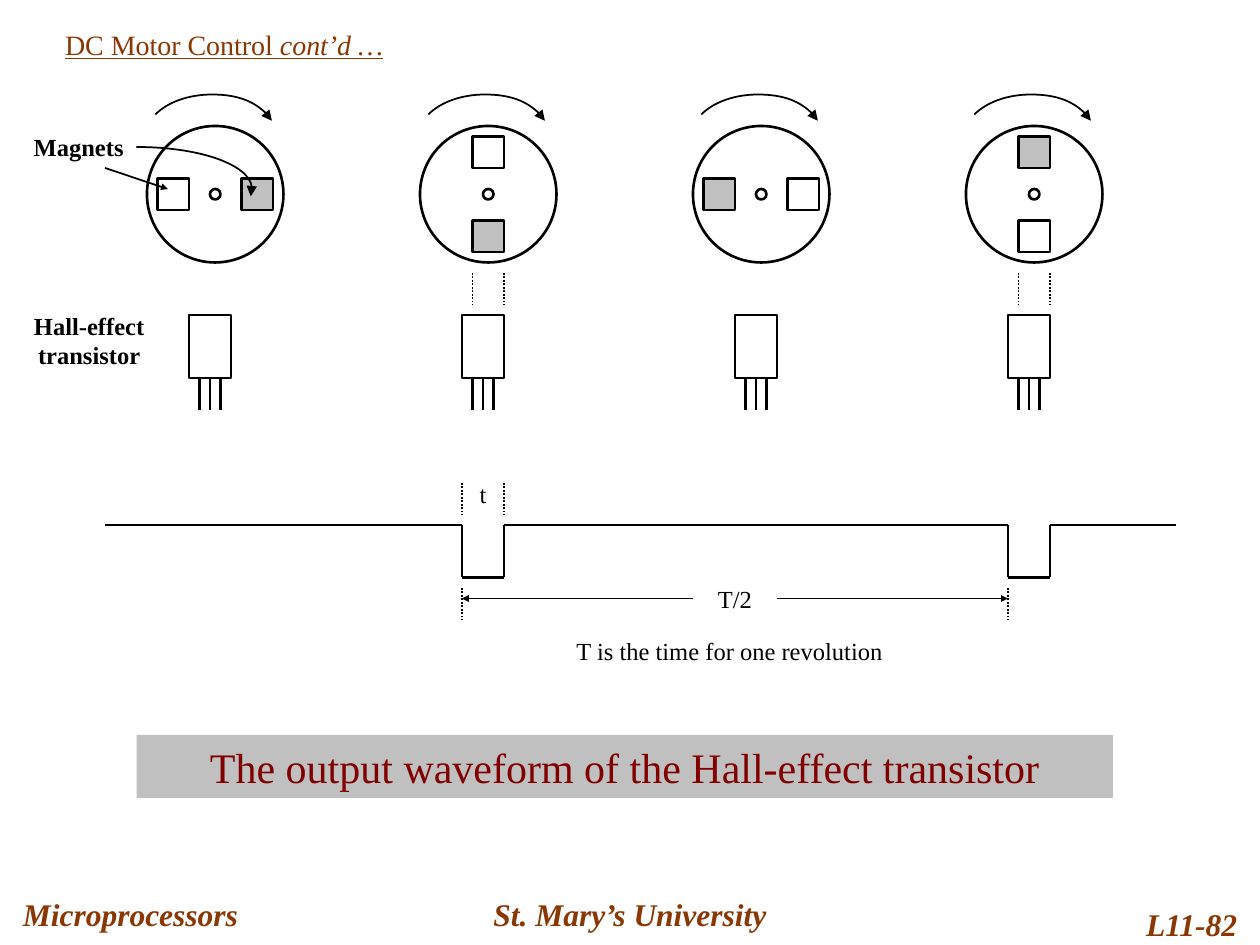
from dataclasses import dataclass
from itertools import pairwise

from lxml.etree import SubElement
from pptx import Presentation
from pptx.dml.color import RGBColor
from pptx.enum.dml import MSO_LINE
from pptx.enum.shapes import MSO_CONNECTOR, MSO_SHAPE
from pptx.enum.text import MSO_ANCHOR as Anchor, MSO_AUTO_SIZE as AutoSize, PP_ALIGN as Align
from pptx.oxml.ns import qn
from pptx.util import Pt

PX = 7620
BLACK, GREY, BROWN, MAROON = "000000", "C0C0C0", "8A3704", "800000"
FONT = "Times New Roman"
WHEEL_Y, WHEEL_STEP = 185, 260
HIGH, LOW = 500, 550
TURN_CURVE = [(54, 115), (45, 100), (22, 90), (-3, 90), (-25, 90), (-45, 97), (-57, 109)]
MAGNET_CURVE = [(130, 140), (191, 140), (240, 158), (240, 180), (240, 182), (240, 185), (239, 187)]


@dataclass(frozen=True)
class Stage:
    """One quarter turn: wheel centre and the direction of the grey magnet."""
    x: int
    dx: int
    dy: int

    @property
    def sensed(self) -> bool:
        return self.dy != 0


@dataclass(frozen=True)
class Label:
    """A text box with its place and format."""
    text: str
    place: tuple[int, int, int, int]
    size: int = 14
    color: str = BLACK
    bold: bool = False
    italic: bool = False
    align: Align = Align.CENTER
    anchor: Anchor = Anchor.TOP


STAGES = [Stage(205 + WHEEL_STEP * i, dx, dy)
          for i, (dx, dy) in enumerate([(1, 0), (0, 1), (-1, 0), (0, -1)])]
FOOTER = dict(size=18, color=BROWN, bold=True, italic=True, anchor=Anchor.MIDDLE)
LABELS = [
    Label("Microprocessors", (10, 840, 290, 60), align=Align.LEFT, **FOOTER),
    Label("St. Mary’s University", (410, 840, 380, 60), **FOOTER),
    Label("L11-82", (1040, 850, 150, 60), align=Align.RIGHT, **FOOTER),
    Label("Magnets", (20, 120, 110, 41), bold=True),
    Label("Hall-effect transistor", (20, 290, 130, 68), bold=True),
    Label("t", (440, 450, 40, 41)),
    Label("T/2", (670, 550, 60, 41)),
    Label("T is the time for one revolution", (500, 600, 390, 41)),
]


def rgb(color: str) -> RGBColor:
    """Turn a hex string into a colour."""
    return RGBColor.from_string(color)


def scaled(*lengths: float) -> list[int]:
    """Turn px lengths into EMU."""
    return [round(length * PX) for length in lengths]


def write(para, text: str, *, size=14, color=BLACK, bold=False, italic=False, underline=False):
    """Add a formatted span to a paragraph."""
    span = para.add_run()
    span.text = text
    font = span.font
    font.name, font.size, font.color.rgb = FONT, Pt(size), rgb(color)
    font.bold, font.italic, font.underline = bold, italic, underline


def set_frame(box, align=Align.CENTER, anchor=Anchor.TOP):
    """Prepare a text frame and return its first paragraph."""
    frame = box.text_frame
    frame.word_wrap, frame.vertical_anchor = True, anchor
    frame.auto_size = AutoSize.NONE if anchor == Anchor.MIDDLE else AutoSize.SHAPE_TO_FIT_TEXT
    para = frame.paragraphs[0]
    para.alignment = align
    return para


def add_label(page, label: Label):
    """Add one text box."""
    box = page.shapes.add_textbox(*scaled(*label.place))
    write(set_frame(box, label.align, label.anchor), label.text, size=label.size,
          color=label.color, bold=label.bold, italic=label.italic)


def add_shape(page, kind, place: tuple, fill: str | None = None, outlined: bool = True):
    """Add a preset shape."""
    shape = page.shapes.add_shape(kind, *scaled(*place))
    shape.shadow.inherit = False
    if fill:
        shape.fill.solid()
        shape.fill.fore_color.rgb = rgb(fill)
    else:
        shape.fill.background()
    if outlined:
        shape.line.color.rgb, shape.line.width = rgb(BLACK), Pt(1.5)
    else:
        shape.line.fill.background()
    return shape


def add_centred(page, kind, x: int, y: int, size: int, fill: str | None = None):
    """Add a square or circle around a centre."""
    return add_shape(page, kind, (x - size / 2, y - size / 2, size, size), fill)


def add_arrowhead(shape, end: str, size: str):
    """Put a triangle at the headEnd or tailEnd of a line."""
    SubElement(shape.line._get_or_add_ln(), qn(f"a:{end}"), type="triangle", w=size, len=size)


def add_line(page, start: tuple, end: tuple, width=1.5, dotted=False, arrow=False):
    """Add a straight connector."""
    line = page.shapes.add_connector(MSO_CONNECTOR.STRAIGHT, *scaled(*start, *end))
    line.line.color.rgb, line.line.width = rgb(BLACK), Pt(width)
    if dotted:
        line.line.dash_style = MSO_LINE.ROUND_DOT
    if arrow:
        add_arrowhead(line, "tailEnd", "sm")
    SubElement(line._element.spPr, qn("a:effectLst"))
    return line


def add_dotted_pair(page, left: int, right: int, top: int):
    """Add two short dotted guides."""
    for x in (left, right):
        add_line(page, (x, top), (x, top + 30), width=1, dotted=True)


def add_curve(page, points: list, end: str, height: int):
    """Add a curved arrow from Bézier points, in a frame of the given height."""
    start, *others = [scaled(*point) for point in points]
    builder = page.shapes.build_freeform(*start)
    builder.add_line_segments(others, close=False)
    curve = builder.convert_to_shape()
    outline = next(curve._element.iter(qn("a:path")))
    segments = outline.findall(qn("a:lnTo"))
    for first in range(0, len(segments), 3):
        bend = SubElement(outline, qn("a:cubicBezTo"))
        for segment in segments[first:first + 3]:
            bend.append(segment[0])
            outline.remove(segment)
    curve.height = height * PX
    outline.set("h", str(height * PX))
    curve.shadow.inherit = False
    curve.fill.background()
    curve.line.color.rgb, curve.line.width = rgb(BLACK), Pt(1)
    add_arrowhead(curve, end, "med")


def add_stage(page, stage: Stage):
    """Draw a wheel, its magnets and the transistor below."""
    x, y = stage.x, WHEEL_Y
    add_centred(page, MSO_SHAPE.OVAL, x, y, 130)
    add_centred(page, MSO_SHAPE.OVAL, x, y, 10)
    for reach, fill in ((-40, None), (40, GREY)):
        add_centred(page, MSO_SHAPE.RECTANGLE, x + reach * stage.dx, y + reach * stage.dy, 30, fill)
    add_curve(page, [(x + dx, top) for dx, top in TURN_CURVE], "headEnd", 40)
    left = x - 25
    transistor = add_shape(page, MSO_SHAPE.RECTANGLE, (left, 300, 40, 60))
    legs = [add_line(page, (left + dx, 360), (left + dx, 390)) for dx in (10, 20, 30)]
    legs[1].begin_connect(transistor, 2)
    if stage.sensed:
        add_dotted_pair(page, x - 15, x + 15, 260)


def add_waveform(page):
    """Draw the output signal with its time marks."""
    pulses = [stage.x - 25 for stage in STAGES if stage.sensed]
    points = [(100, HIGH)]
    for left in pulses:
        points += [(left, HIGH), (left, LOW), (left + 40, LOW), (left + 40, HIGH)]
    points.append((1120, HIGH))
    for start, end in pairwise(points):
        add_line(page, start, end)
    first, second = pulses
    add_dotted_pair(page, first, first + 40, 460)
    add_dotted_pair(page, first, second, 560)
    for start, end in ((660, first), (740, second)):
        add_line(page, (start, 570), (end, 570), width=1, arrow=True)


def main():
    """Build the slide."""
    deck = Presentation()
    deck.slide_width, deck.slide_height = scaled(1200, 900)
    page = deck.slides.add_slide(deck.slide_layouts[5])
    title = page.shapes.title
    title.left, title.top, title.width, title.height = scaled(50, 20, 1070, 44)
    heading = set_frame(title, Align.LEFT)
    for text, italic in (("DC Motor Control ", False), ("cont’d …", True)):
        write(heading, text, size=16, color=BROWN, italic=italic, underline=True)
    for stage in STAGES:
        add_stage(page, stage)
    add_line(page, (100, 160), (160, 180), width=1, arrow=True)
    add_curve(page, MAGNET_CURVE, "tailEnd", 47)
    add_waveform(page)
    for label in LABELS:
        add_label(page, label)
    banner = add_shape(page, MSO_SHAPE.RECTANGLE, (130, 700, 930, 60), GREY, outlined=False)
    write(set_frame(banner), "The output waveform of the Hall-effect transistor",
          size=24, color=MAROON)
    deck.save("out.pptx")


if __name__ == "__main__":
    main()
